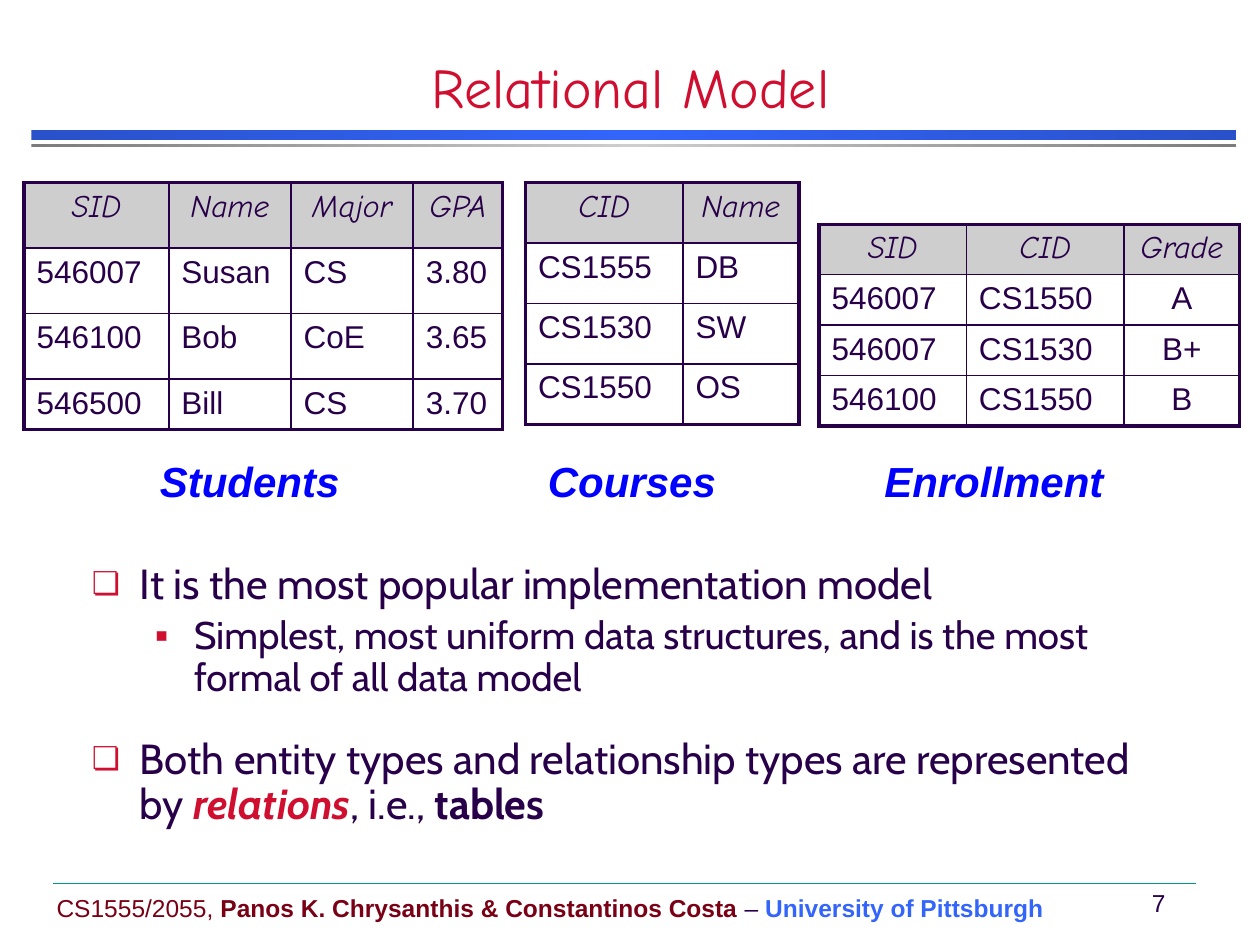
from copy import deepcopy

from lxml import etree
from pptx import Presentation
from pptx.dml.color import RGBColor
from pptx.enum.shapes import MSO_CONNECTOR, MSO_SHAPE
from pptx.enum.text import MSO_ANCHOR, MSO_AUTO_SIZE, PP_ALIGN
from pptx.oxml.ns import qn
from pptx.util import Inches, Pt

RECTANGLE, STRAIGHT = MSO_SHAPE.RECTANGLE, MSO_CONNECTOR.STRAIGHT
TOP, MIDDLE, BOTTOM = MSO_ANCHOR.TOP, MSO_ANCHOR.MIDDLE, MSO_ANCHOR.BOTTOM
LEFT, CENTER = PP_ALIGN.LEFT, PP_ALIGN.CENTER
NO_AUTOFIT = MSO_AUTO_SIZE.NONE

INK, RED, MAROON, BLUE, LABEL_BLUE = "280049", "CF0E30", "790015", "3365FB", "0000FF"
HEADER_GRAY, RULE_GREEN = "CECECE", "009688"
OUTER_BORDER, INNER_BORDER = 2.25, 1

TITLE = "Relational Model"
BARS = [
    (1.03, 0.08, ["2951C9", BLUE, "2951C9"]),
    (1.14, 0.03, ["7C7C7C", HEADER_GRAY, "7C7C7C"]),
]
RELATIONS = [
    {
        "name": "Students", "label_box": (1.17, 2), "corner": (0.19, 1.45),
        "columns": [1.15, 0.97, 0.97, 0.71], "heights": [0.52, 0.52, 0.52, 0.4],
        "rows": [
            ["SID", "Name", "Major", "GPA"],
            ["546007", "Susan", "CS", "3.80"],
            ["546100", "Bob", "CoE", "3.65"],
            ["546500", "Bill", "CS", "3.70"],
        ],
    },
    {
        "name": "Courses", "label_box": (4.25, 1.58), "corner": (4.17, 1.45),
        "columns": [1.25, 0.92], "heights": [0.48] * 4,
        "rows": [["CID", "Name"], ["CS1555", "DB"], ["CS1530", "SW"], ["CS1550", "OS"]],
    },
    {
        "name": "Enrollment", "label_box": (6.92, 2), "corner": (6.5, 1.78),
        "columns": [1.17, 1.25, 0.92], "heights": [0.4] * 4,
        "rows": [
            ["SID", "CID", "Grade"],
            ["546007", "CS1550", "A"],
            ["546007", "CS1530", "B+"],
            ["546100", "CS1550", "B"],
        ],
    },
]
CENTERED_COLUMNS = {"Grade"}
POINTS = [
    (0, 0, [("It is the most popular implementation model", {})]),
    (1, 4.5, [("Simplest, most uniform data structures, and is the most formal of all data model", {})]),
    (0, 22, [
        ("Both entity types and relationship types are represented by ", {}),
        ("relations", {"color": RED, "bold": True, "italic": True}),
        (", i.e., ", {}),
        ("tables", {"bold": True}),
    ]),
]
LEVELS = [
    {"size": 24, "left": 0.38, "hanging": 0.38, "bullet": "❏", "bullet_percent": 75},
    {"size": 22, "left": 0.81, "hanging": 0.31, "bullet": "▪", "bullet_percent": 100},
]
FOOTER = [
    ("CS1555/2055, ", {"color": MAROON}),
    ("Panos K. Chrysanthis & Constantinos Costa ", {"color": MAROON, "bold": True}),
    ("– ", {}),
    ("University of Pittsburgh", {"color": BLUE, "bold": True}),
]
PAGE_NUMBER = "7"


def rgb(color):
    """Turn a hex string into a colour."""
    return RGBColor.from_string(color)


def add_run(paragraph, text, size, font="Arial", color=INK, bold=False, italic=False):
    """Append one formatted run."""
    run = paragraph.add_run()
    run.text = text
    run.font.size, run.font.name = Pt(size), font
    run.font.bold, run.font.italic = bold, italic
    run.font.color.rgb = rgb(color)


def place(shape, left, top, width, height):
    """Move and size a shape in inches."""
    shape.left, shape.top = Inches(left), Inches(top)
    shape.width, shape.height = Inches(width), Inches(height)


def add_text(slide, box, runs, size, anchor=TOP, align=LEFT, wrap=True):
    """Add a one-paragraph text box and return its paragraph."""
    frame = slide.shapes.add_textbox(*map(Inches, box)).text_frame
    frame.word_wrap, frame.vertical_anchor = wrap, anchor
    paragraph = frame.paragraphs[0]
    paragraph.alignment = align
    for text, style in runs:
        add_run(paragraph, text, size, **style)
    return paragraph


def add_bar(slide, top, height, colors):
    """Add a horizontal bar with a three-stop gradient."""
    bar = slide.shapes.add_shape(RECTANGLE, *map(Inches, (0.25, top, 9.56, height)))
    bar.shadow.inherit = False
    bar.line.fill.background()
    bar.fill.gradient()
    bar.fill.gradient_angle = 0
    stop_list = bar.fill._xPr.find(".//" + qn("a:gsLst"))
    stop_list.append(deepcopy(stop_list[-1]))
    for index, (stop, color) in enumerate(zip(bar.fill.gradient_stops, colors)):
        stop.position = index / 2
        stop.color.rgb = rgb(color)


def add_border(cell, side, width):
    """Draw one side of a cell."""
    line = etree.SubElement(cell._tc.get_or_add_tcPr(), qn("a:ln" + side), w=str(Pt(width)))
    fill = etree.SubElement(line, qn("a:solidFill"))
    etree.SubElement(fill, qn("a:srgbClr"), val=INK)


def add_relation(slide, relation):
    """Add a relation's table and the label below it."""
    rows, columns, heights = relation["rows"], relation["columns"], relation["heights"]
    box = (*relation["corner"], sum(columns), sum(heights))
    table = slide.shapes.add_table(len(rows), len(columns), *map(Inches, box)).table
    table.first_row = table.horz_banding = False
    for column, width in zip(table.columns, columns):
        column.width = Inches(width)
    for r, values in enumerate(rows):
        table.rows[r].height = Inches(heights[r])
        for c, value in enumerate(values):
            cell, header = table.cell(r, c), r == 0
            edges = {"L": c == 0, "R": c == len(columns) - 1, "T": header, "B": r == len(rows) - 1}
            for side, outer in edges.items():
                add_border(cell, side, OUTER_BORDER if outer else INNER_BORDER)
            if header:
                cell.fill.solid()
                cell.fill.fore_color.rgb = rgb(HEADER_GRAY)
            else:
                cell.fill.background()
            paragraph = cell.text_frame.paragraphs[0]
            paragraph.alignment = CENTER if header or rows[0][c] in CENTERED_COLUMNS else LEFT
            add_run(paragraph, value, 18, "Comic Neue" if header else "Arial", italic=header)
    left, width = relation["label_box"]
    style = {"color": LABEL_BLUE, "bold": True, "italic": True}
    add_text(slide, (left, 3.61, width, 0.47), [(relation["name"], style)], 24).line_spacing = 0.9


def add_point(paragraph, level, space_before, runs):
    """Fill one bulleted paragraph of the body."""
    look = LEVELS[level]
    paragraph.level, paragraph.line_spacing = level, 0.9
    paragraph.space_before = Pt(space_before)
    properties = paragraph._p.get_or_add_pPr()
    properties.set("marL", str(Inches(look["left"])))
    properties.set("indent", str(-Inches(look["hanging"])))
    bullet_color = etree.SubElement(properties, qn("a:buClr"))
    etree.SubElement(bullet_color, qn("a:srgbClr"), val=RED)
    etree.SubElement(properties, qn("a:buSzPct"), val=str(look["bullet_percent"] * 1000))
    etree.SubElement(properties, qn("a:buChar"), char=look["bullet"])
    for text, style in runs:
        add_run(paragraph, text, look["size"], "Cabin", **style)


def main():
    """Build the slide and save it."""
    deck = Presentation()
    deck.slide_width, deck.slide_height = Inches(10), Inches(7.5)
    slide = deck.slides.add_slide(deck.slide_layouts[1])
    title, body = slide.placeholders
    for bar in BARS:
        add_bar(slide, *bar)
    add_text(slide, (0.35, 6.8, 8.11, 0.57), FOOTER, 14, BOTTOM, wrap=False)
    add_text(slide, (8.95, 7, 0.49, 0.33), [(PAGE_NUMBER, {})], 14, MIDDLE, CENTER, wrap=False)
    rule = slide.shapes.add_connector(STRAIGHT, *map(Inches, (0.42, 7.01, 9.49, 7.01)))
    rule.line.color.rgb, rule.line.width = rgb(RULE_GREEN), Pt(0.25)
    etree.SubElement(rule._element.spPr, qn("a:effectLst"))

    place(title, 0.63, 0.42, 8.75, 0.58)
    place(body, 0.63, 4.42, 8.75, 2.62)
    for placeholder, anchor in ((title, BOTTOM), (body, TOP)):
        placeholder.text_frame.auto_size = NO_AUTOFIT
        placeholder.text_frame.vertical_anchor = anchor
    heading = title.text_frame.paragraphs[0]
    heading.alignment = CENTER
    add_run(heading, TITLE, 32, "Comic Neue", RED)
    for relation in RELATIONS:
        add_relation(slide, relation)
    for index, point in enumerate(POINTS):
        frame = body.text_frame
        add_point(frame.add_paragraph() if index else frame.paragraphs[0], *point)
    deck.save("out.pptx")


if __name__ == "__main__":
    main()
